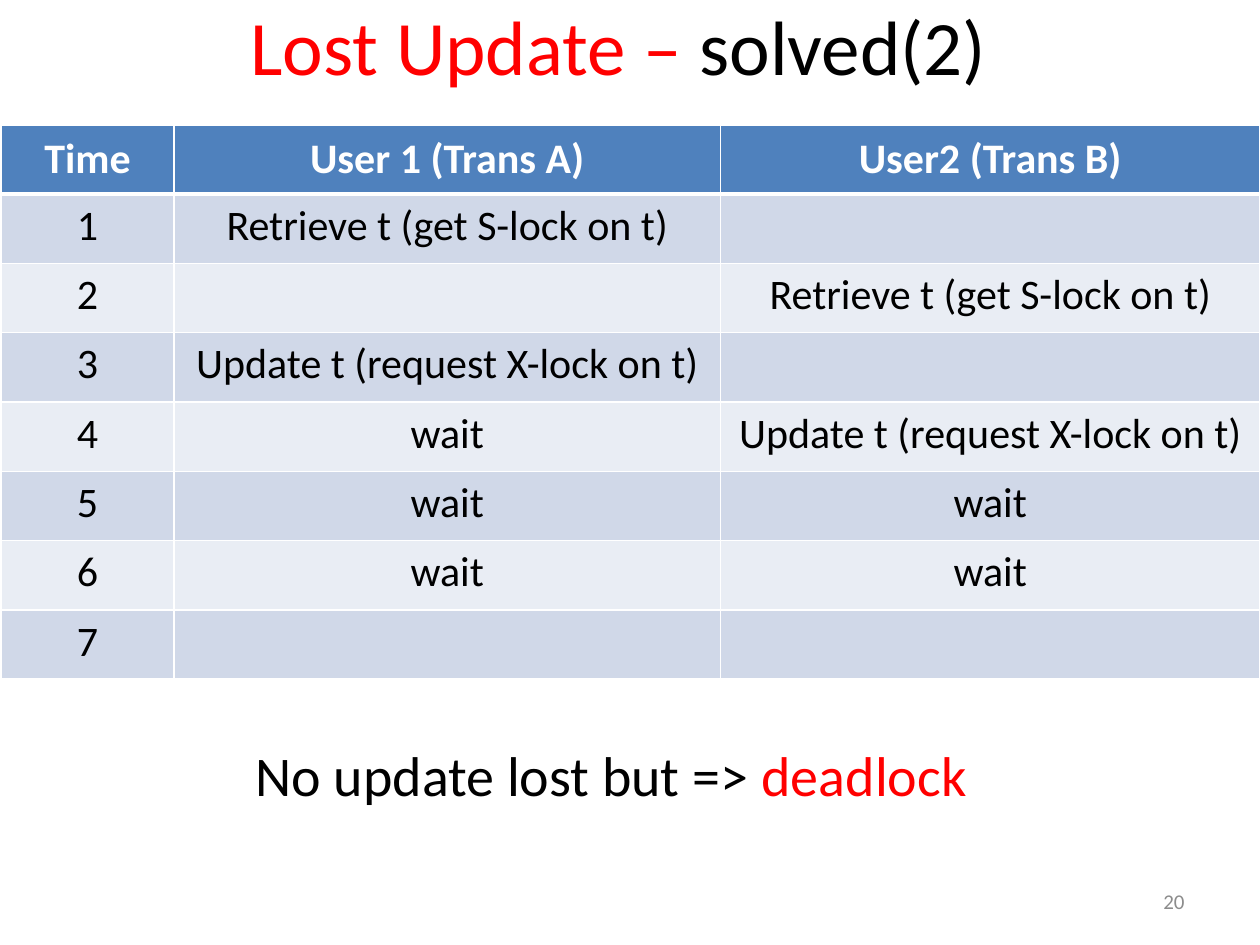
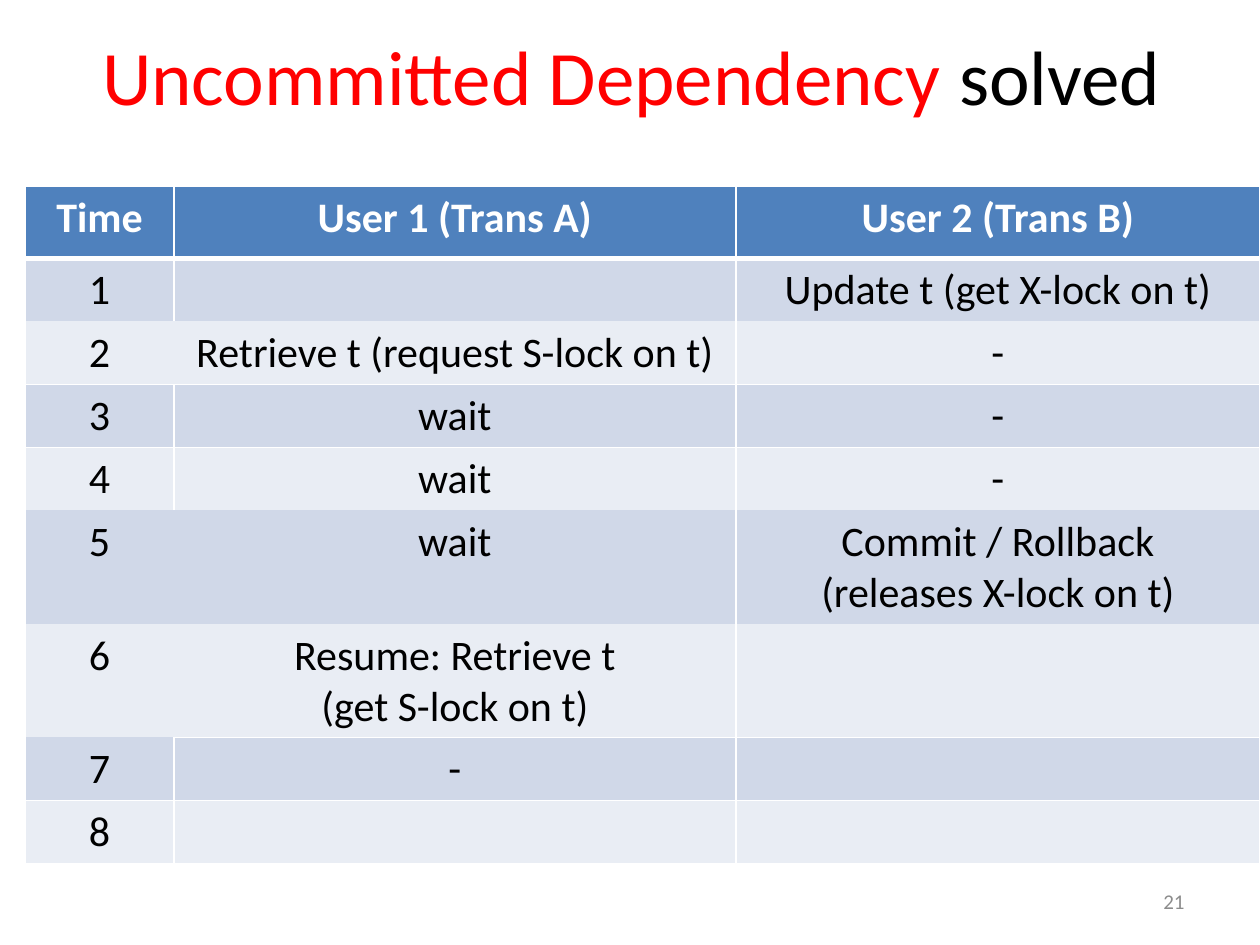
import lxml.etree
import pptx
import pptx.dml.color
import pptx.enum.text
import pptx.oxml.ns
import pptx.util

PX = 9144  # EMU in one px, at 100 px to the inch
FONT = "Calibri"
BLACK, WHITE, RED, GREY = "000000", "FFFFFF", "FF0000", "8C8C8C"
HEADER_BLUE = "4F81BD"
BANDS = ("E9EDF4", "D0D8E8")
ALIGN = pptx.enum.text.PP_ALIGN
ANCHOR = pptx.enum.text.MSO_ANCHOR


def rgb(color):
    return pptx.dml.color.RGBColor.from_string(color)


def write(frame, lines, size=24, color=BLACK, bold=False, align=ALIGN.CENTER,
          anchor=ANCHOR.TOP):
    """Fill a frame; each line is a string or a list of (text, color) spans."""
    frame.word_wrap = True
    frame.vertical_anchor = anchor
    for index, line in enumerate(lines):
        para = frame.add_paragraph() if index else frame.paragraphs[0]
        para.alignment = align
        for text, tint in [(line, color)] if isinstance(line, str) else line:
            span = para.add_run()
            span.text = text
            span.font.name = FONT
            span.font.size = pptx.util.Pt(size)
            span.font.bold = bold
            span.font.color.rgb = rgb(tint)


lost_update = {
    "number": "20",
    "title": [("Lost Update – ", RED), ("solved(2)", BLACK)],
    "title_at": (41, -27),
    "table_at": (1, 99),
    "header_anchor": ANCHOR.MIDDLE,
    "columns": (137, 434, 428),
    "heights": [55] * 8,
    "header": ("Time", "User 1 (Trans A)", "User2 (Trans B)"),
    "steps": [
        ("Retrieve t (get S-lock on t)", ""),
        ("", "Retrieve t (get S-lock on t)"),
        ("Update t (request X-lock on t)", ""),
        ("wait", "Update t (request X-lock on t)"),
        ("wait", "wait"),
        ("wait", "wait"),
        ("", ""),
    ],
    "open_below": set(),
    "open_right": set(),
    "conclusion": [("No update lost but => ", BLACK), ("deadlock", RED)],
}
uncommitted_dependency = {
    "number": "21",
    "title": [("Uncommitted Dependency ", RED), ("solved", BLACK)],
    "title_at": (51, -3),
    "table_at": (20, 148),
    "header_anchor": ANCHOR.TOP,
    "columns": (118, 446, 416),
    "heights": [57] + [50] * 4 + [90] * 2 + [50] * 2,
    "header": ("Time", "User 1 (Trans A)", "User 2 (Trans B)"),
    "steps": [
        ("", "Update t (get X-lock on t)"),
        ("Retrieve t (request S-lock on t)", "-"),
        ("wait", "-"),
        ("wait", "-"),
        ("wait", "Commit / Rollback\n(releases X-lock on t)"),
        ("Resume: Retrieve t\n(get S-lock on t)", ""),
        ("-", ""),
        ("", ""),
    ],
    # (row, column) of cells without a line below or to the right
    "open_below": {(row, column) for row in (1, 4, 5) for column in range(3)} | {(6, 0)},
    "open_right": {(2, 0), (5, 0), (6, 0)},
    "conclusion": None,
}

deck = pptx.Presentation()
deck.slide_width, deck.slide_height = 1000 * PX, 750 * PX

for topic in (lost_update, uncommitted_dependency):
    page = deck.slides.add_slide(deck.slide_layouts[6])
    left, top = topic["title_at"]
    title = page.shapes.add_textbox(left * PX, top * PX, 900 * PX, 125 * PX)
    write(title.text_frame, [topic["title"]], size=44, anchor=ANCHOR.MIDDLE)

    rows = [topic["header"]]
    rows += [(str(time), *actions) for time, actions in enumerate(topic["steps"], 1)]
    left, top = topic["table_at"]
    schedule = page.shapes.add_table(
        len(rows), len(topic["columns"]), left * PX, top * PX,
        sum(topic["columns"]) * PX, sum(topic["heights"]) * PX).table
    schedule.first_row = schedule.horz_banding = False
    for column, width in enumerate(topic["columns"]):
        schedule.columns[column].width = width * PX
    below, right = topic["open_below"], topic["open_right"]

    for row, texts in enumerate(rows):
        schedule.rows[row].height = topic["heights"][row] * PX
        for column, text in enumerate(texts):
            cell = schedule.cell(row, column)
            borders = (
                ("lnL", 1, (row, column - 1) in right),
                ("lnR", 1, (row, column) in right),
                ("lnT", 3 if row == 1 else 1, (row - 1, column) in below),
                ("lnB", 3 if row == 0 else 1, (row, column) in below),
            )
            properties = cell._tc.get_or_add_tcPr()
            for tag, points, is_open in borders:
                line = lxml.etree.SubElement(properties, pptx.oxml.ns.qn("a:" + tag),
                                             w=str(pptx.util.Pt(points)))
                if is_open:
                    lxml.etree.SubElement(line, pptx.oxml.ns.qn("a:noFill"))
                else:
                    paint = lxml.etree.SubElement(line, pptx.oxml.ns.qn("a:solidFill"))
                    lxml.etree.SubElement(paint, pptx.oxml.ns.qn("a:srgbClr"), val=WHITE)
            cell.fill.solid()
            cell.fill.fore_color.rgb = rgb(BANDS[row % 2] if row else HEADER_BLUE)
            cell.vertical_anchor = ANCHOR.TOP if row else topic["header_anchor"]
            if text:
                write(cell.text_frame, text.split("\n"), bold=row == 0,
                      color=BLACK if row else WHITE, anchor=None)

    if topic["conclusion"]:
        conclusion = page.shapes.add_textbox(193 * PX, 583 * PX, 772 * PX, 64 * PX)
        write(conclusion.text_frame, [topic["conclusion"]], size=32, align=ALIGN.LEFT)

    footer = page.shapes.add_textbox(717 * PX, 695 * PX, 233 * PX, 40 * PX)
    write(footer.text_frame, [topic["number"]], size=12, color=GREY,
          align=ALIGN.RIGHT, anchor=ANCHOR.MIDDLE)

deck.save("out.pptx")
